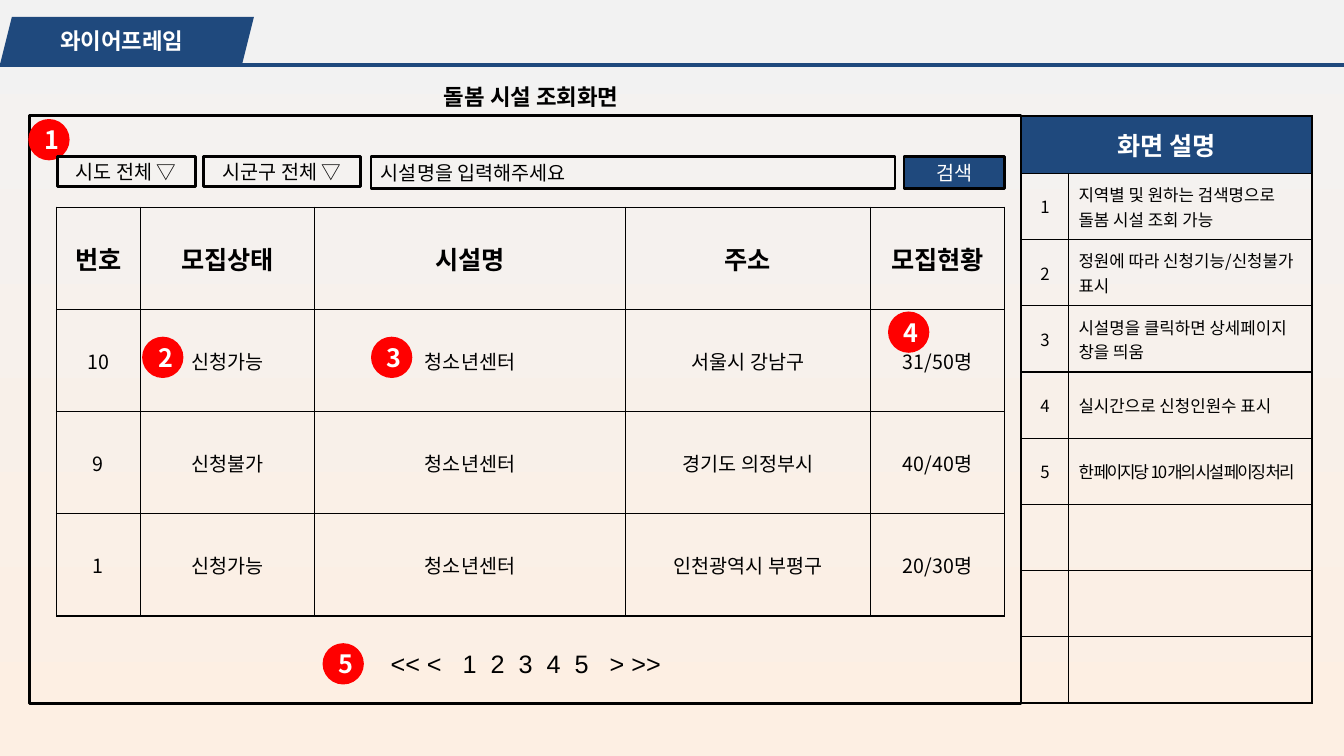
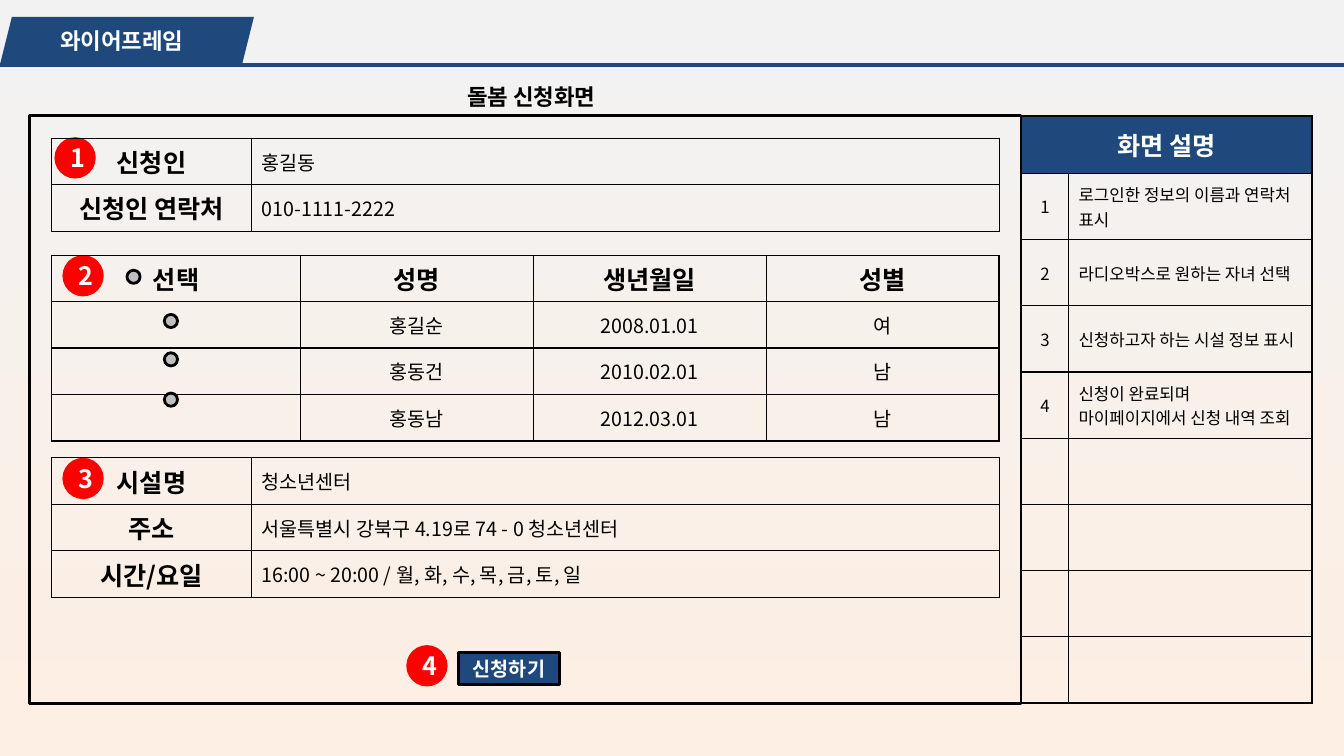
from dataclasses import dataclass

from lxml import etree
from pptx import Presentation
from pptx.dml.color import RGBColor
from pptx.enum.shapes import MSO_CONNECTOR, MSO_SHAPE
from pptx.enum.text import MSO_ANCHOR, PP_ALIGN
from pptx.oxml.ns import qn
from pptx.util import Pt

RECTANGLE = MSO_SHAPE.RECTANGLE
OVAL = MSO_SHAPE.OVAL
PARALLELOGRAM = MSO_SHAPE.PARALLELOGRAM
STRAIGHT = MSO_CONNECTOR.STRAIGHT
MIDDLE = MSO_ANCHOR.MIDDLE
CENTER = PP_ALIGN.CENTER
LEFT = PP_ALIGN.LEFT


@dataclass(frozen=True)
class Theme:
    navy: str = "1F497D"
    red: str = "FF0000"
    black: str = "000000"
    white: str = "FFFFFF"
    gray: str = "BFBFBF"
    sky: str = "F2F2F2"
    peach: str = "FDEFE3"
    korean: str = "Noto Sans CJK KR"
    latin: str = "Arial"
    title: int = 16
    heading: int = 18
    body: int = 14
    note: int = 12


THEME = Theme()


def text_format(size, color=THEME.black, bold=False, font=THEME.korean):
    return {"size": Pt(size), "bold": bold, "name": font, "color": color}


FORMATS = {
    "tab": text_format(THEME.title, THEME.white, True),
    "title": text_format(THEME.title, bold=True),
    "banner": text_format(THEME.heading, THEME.white, True),
    "heading": text_format(THEME.heading, bold=True),
    "body": text_format(THEME.body),
    "button": text_format(THEME.body, THEME.white),
    "strong button": text_format(THEME.body, THEME.white, True),
    "note": text_format(THEME.note),
    "pager": text_format(THEME.heading, font=THEME.latin),
}

SECTION = "와이어프레임"
NOTES_TITLE = "화면 설명"
NOTE_ROWS = 8
BADGE_SIZE = 29.5
RADIO_SIZE = 9.4
FORM_ROW = 33.2
FORM_COLUMNS = (143, 534)
FORM_LEFT = 36.7

SEARCH = {
    "title": "돌봄 시설 조회화면",
    "notes": [
        "지역별 및 원하는 검색명으로 돌봄 시설 조회 가능",
        "정원에 따라 신청기능/신청불가 표시",
        "시설명을 클릭하면 상세페이지 창을 띄움",
        "실시간으로 신청인원수 표시",
        "한 페이지당 10개의 시설 페이징 처리",
    ],
    "tight_note": 5,
    "badges": [(20.2, 85), (101.5, 240.5), (265, 240.5), (634.3, 222.5), (230.4, 459.4)],
    "controls": [
        ("시도 전체 ▽", (41, 111.6, 98.6, 21.6), None, "body", CENTER),
        ("시군구 전체 ▽", (145.4, 111.6, 112.3, 21.6), None, "body", CENTER),
        ("시설명을 입력해주세요", (265, 111.6, 374.4, 23), None, "body", LEFT),
        ("검색", (645.8, 111.6, 72, 23), THEME.navy, "button", CENTER),
    ],
    "grids": [
        {
            "place": (40.3, 148),
            "columns": (60, 124.5, 222, 175, 96),
            "row_height": 73,
            "kind": "list",
            "rows": [
                ("번호", "모집상태", "시설명", "주소", "모집현황"),
                ("10", "신청가능", "청소년센터", "서울시 강남구", "31/50명"),
                ("9", "신청불가", "청소년센터", "경기도 의정부시", "40/40명"),
                ("1", "신청가능", "청소년센터", "인천광역시 부평구", "20/30명"),
            ],
        },
    ],
    "radios": [],
    "pager": ["<< <", "1", "2", "3", "4", "5", "> >>"],
}

APPLY = {
    "title": "돌봄 신청화면",
    "notes": [
        "로그인한 정보의 이름과 연락처 표시",
        "라디오박스로 원하는 자녀 선택",
        "신청하고자 하는 시설 정보 표시",
        "신청이 완료되며 마이페이지에서 신청 내역 조회",
    ],
    "tight_note": None,
    "badges": [(38.9, 98), (44.6, 182.2), (44.6, 327), (290.2, 460.8)],
    "controls": [
        ("신청하기", (327.6, 465.8, 72, 23), THEME.navy, "strong button", CENTER),
    ],
    "grids": [
        {
            "place": (FORM_LEFT, 98.7),
            "columns": FORM_COLUMNS,
            "row_height": FORM_ROW,
            "kind": "form",
            "rows": [("신청인", "홍길동"), ("신청인 연락처", "010-1111-2222")],
        },
        {
            "place": (FORM_LEFT, 182.2),
            "columns": (178, 166.3, 166.3, 166.3),
            "row_height": FORM_ROW,
            "kind": "list",
            "rows": [
                ("선택", "성명", "생년월일", "성별"),
                ("", "홍길순", "2008.01.01", "여"),
                ("", "홍동건", "2010.02.01", "남"),
                ("", "홍동남", "2012.03.01", "남"),
            ],
        },
        {
            "place": (FORM_LEFT, 327),
            "columns": FORM_COLUMNS,
            "row_height": FORM_ROW,
            "kind": "form",
            "rows": [
                ("시설명", "청소년센터"),
                ("주소", "서울특별시 강북구 4.19로 74 - 0 청소년센터"),
                ("시간/요일", "16:00 ~ 20:00 / 월, 화, 수, 목, 금, 토, 일"),
            ],
        },
    ],
    "radios": [(90.7, 193), (117.4, 224.6), (117.4, 252), (117.4, 280.8)],
    "pager": [],
}


def points(values):
    return [Pt(value) for value in values]


def rgb(color):
    return RGBColor.from_string(color)


def write(frame, text, style, align=CENTER, spacing=None):
    frame.word_wrap = True
    frame.vertical_anchor = MIDDLE
    para = frame.paragraphs[0]
    para.alignment = align
    if not text:
        return para
    span = para.add_run()
    span.text = text
    for name, value in FORMATS[style].items():
        if name == "color":
            span.font.color.rgb = rgb(value)
        else:
            setattr(span.font, name, value)
    properties = span.font._element
    etree.SubElement(properties, qn("a:ea")).set("typeface", FORMATS[style]["name"])
    if spacing is not None:
        properties.set("spc", str(spacing))
    return para


def paint(fill, color):
    if color:
        fill.solid()
        fill.fore_color.rgb = rgb(color)
    else:
        fill.background()


def add_box(page, kind, place, fill=None, line=None):
    box = page.shapes.add_shape(kind, *points(place))
    box.shadow.inherit = False
    paint(box.fill, fill)
    paint(box.line.fill, line)
    if line:
        box.line.width = Pt(2)
    return box


def add_label(page, place, text, style):
    box = page.shapes.add_textbox(*points(place))
    write(box.text_frame, text, style)


def add_borders(cell):
    properties = cell._tc.get_or_add_tcPr()
    for position, side in enumerate(("a:lnL", "a:lnR", "a:lnT", "a:lnB")):
        border = etree.Element(qn(side), w=str(Pt(1)))
        solid = etree.SubElement(border, qn("a:solidFill"))
        etree.SubElement(solid, qn("a:srgbClr"), val=THEME.black)
        properties.insert(position, border)


def add_grid(page, place, columns, heights):
    size = (sum(columns), sum(heights))
    table = page.shapes.add_table(len(heights), len(columns), *points((*place, *size))).table
    table.first_row = False
    table.horz_banding = False
    for column, width in zip(table.columns, columns):
        column.width = Pt(width)
    for row, height in zip(table.rows, heights):
        row.height = Pt(height)
    for cell in table.iter_cells():
        cell.vertical_anchor = MIDDLE
        paint(cell.fill, None)
        add_borders(cell)
    return table


def add_data_grid(page, place, columns, row_height, kind, rows):
    table = add_grid(page, place, columns, [row_height] * len(rows))
    for row, values in enumerate(rows):
        for column, text in enumerate(values):
            is_heading = (row if kind == "list" else column) == 0
            align = CENTER if is_heading or kind == "list" else LEFT
            style = "heading" if is_heading else "body"
            write(table.cell(row, column).text_frame, text, style, align)


def add_notes_panel(page, notes, tight_note):
    table = add_grid(page, (729.6, 82.8), (33.6, 174), [41.1] + [47.3] * NOTE_ROWS)
    banner = table.cell(0, 0)
    banner.merge(table.cell(0, 1))
    paint(banner.fill, THEME.navy)
    write(banner.text_frame, NOTES_TITLE, "banner")
    for number, text in enumerate(notes, 1):
        write(table.cell(number, 0).text_frame, str(number), "note")
        spacing = -150 if number == tight_note else None
        write(table.cell(number, 1).text_frame, text, "note", LEFT, spacing)


def add_pager(page, labels):
    box = page.shapes.add_textbox(*points((279, 459.4, 200, 29.5)))
    frame = box.text_frame
    frame.margin_left = frame.margin_right = 0
    para = write(frame, "\t".join(labels), "pager", LEFT)
    stops = [51.5 + 20 * step for step in range(len(labels) - 2)]
    stops.append(stops[-1] + 25)
    tabs = etree.SubElement(para._p.get_or_add_pPr(), qn("a:tabLst"))
    for stop in stops:
        etree.SubElement(tabs, qn("a:tab"), pos=str(Pt(stop)), algn="l")


def add_header(page, title):
    add_box(page, PARALLELOGRAM, (0, 12, 181.4, 34), THEME.navy)
    add_label(page, (-1.4, 9.4, 177, 39.6), SECTION, "tab")
    rule = page.shapes.add_connector(STRAIGHT, *points((960, 46.6, 0, 46.6)))
    rule.line.color.rgb = rgb(THEME.navy)
    rule.line.width = Pt(3)
    etree.SubElement(rule._element.spPr, qn("a:effectLst"))
    add_label(page, (291, 49, 177, 39.6), title, "title")


def add_screen(deck, screen):
    page = deck.slides.add_slide(deck.slide_layouts[6])
    add_header(page, screen["title"])
    add_box(page, RECTANGLE, (20.9, 82.8, 708.5, 419.8), line=THEME.black)
    add_notes_panel(page, screen["notes"], screen["tight_note"])
    for number, place in enumerate(screen["badges"], 1):
        badge = add_box(page, OVAL, (*place, BADGE_SIZE, BADGE_SIZE), THEME.red)
        write(badge.text_frame, str(number), "banner")
    for text, place, fill, style, align in screen["controls"]:
        control = add_box(page, RECTANGLE, place, fill, THEME.black)
        write(control.text_frame, text, style, align)
    for grid in screen["grids"]:
        add_data_grid(page, **grid)
    for place in screen["radios"]:
        add_box(page, OVAL, (*place, RADIO_SIZE, RADIO_SIZE), THEME.gray, THEME.black)
    if screen["pager"]:
        add_pager(page, screen["pager"])


def main():
    deck = Presentation()
    deck.slide_width, deck.slide_height = points((960, 540))
    backdrop = deck.slide_master.background.fill
    backdrop.gradient()
    backdrop.gradient_angle = 270
    for stop, color in zip(backdrop.gradient_stops, (THEME.sky, THEME.peach)):
        stop.color.rgb = rgb(color)
    for screen in (SEARCH, APPLY):
        add_screen(deck, screen)
    deck.save("out.pptx")


if __name__ == "__main__":
    main()
